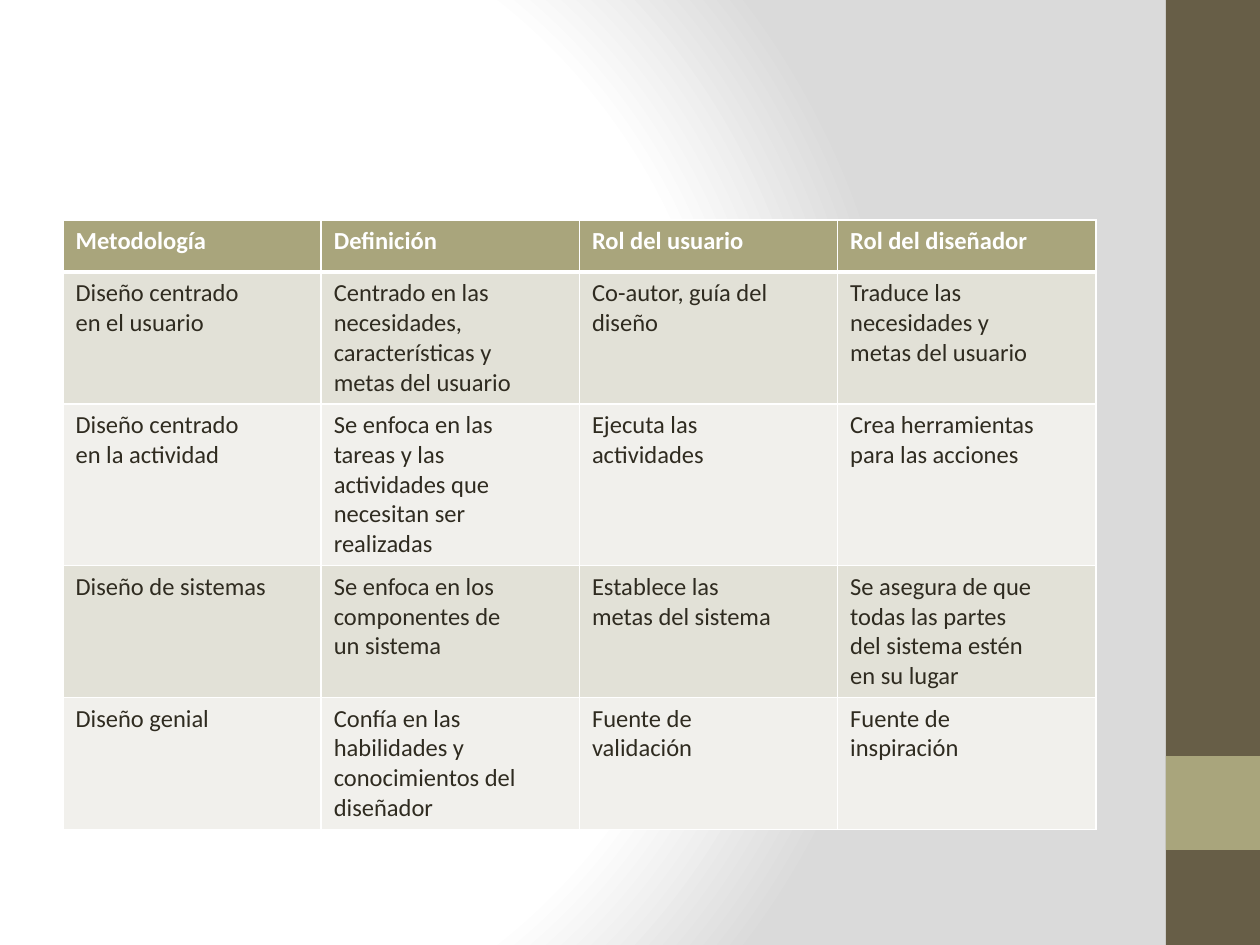
import lxml.etree
import pptx
import pptx.dml.color
import pptx.enum.shapes
import pptx.oxml
import pptx.oxml.ns
import pptx.util

PX = 914400 / 126
COLORS = {
    "white": "FFFFFF", "gray": "DADADA", "bar": "675E47", "accent": "A9A57C",
    "text": "2F2B20", "odd": "E2E1D7", "even": "F1F0EC",
}
HEADER_FONT = {"name": "Calibri", "size": pptx.util.Pt(14), "bold": True}
BODY_FONT = {**HEADER_FONT, "bold": False}
# Each line of a cell is its own paragraph
ROWS = [
    ["Metodología", "Definición", "Rol del usuario", "Rol del diseñador"],
    ["Diseño centrado\nen el usuario",
     "Centrado en las\nnecesidades,\ncaracterísticas y\nmetas del usuario",
     "Co-autor, guía del\ndiseño",
     "Traduce las\nnecesidades y\nmetas del usuario"],
    ["Diseño centrado\nen la actividad",
     "Se enfoca en las\ntareas y las\nactividades que necesitan ser\nrealizadas",
     "Ejecuta las\nactividades",
     "Crea herramientas\npara las acciones"],
    ["Diseño de sistemas",
     "Se enfoca en los\ncomponentes de\nun sistema",
     "Establece las\nmetas del sistema",
     "Se asegura de que\ntodas las partes\ndel sistema estén\nen su lugar"],
    ["Diseño genial",
     "Confía en las\nhabilidades y\nconocimientos del\ndiseñador",
     "Fuente de\nvalidación",
     "Fuente de\ninspiración"],
]


def emu(px):
    return pptx.util.Emu(round(px * PX))


def rgb(name):
    return pptx.dml.color.RGBColor.from_string(COLORS[name])


def paint_background(slide):
    """Radial gradient centred on the left edge."""
    slide.background.fill.solid()
    properties = slide.element.find(".//" + pptx.oxml.ns.qn("p:bgPr"))
    stops = "".join(
        f'<a:gs pos="{position * 1000}"><a:srgbClr val="{COLORS[name]}"/></a:gs>'
        for position, name in [(0, "white"), (75, "white"), (100, "gray")])
    gradient = pptx.oxml.parse_xml(
        f'<a:gradFill {pptx.oxml.ns.nsdecls("a")} rotWithShape="1">'
        f'<a:gsLst>{stops}</a:gsLst><a:path path="circle">'
        '<a:fillToRect l="20000" t="50000" r="100000" b="50000"/>'
        '</a:path></a:gradFill>')
    properties.replace(properties[0], gradient)


def add_side_bar(slide, left, top, width, height):
    """Dark bar with a square accent near its foot."""
    parts = [("bar", 0, height), ("accent", height * 4 // 5, width)]
    for color, offset, part_height in parts:
        shape = slide.shapes.add_shape(
            pptx.enum.shapes.MSO_SHAPE.RECTANGLE,
            emu(left), emu(top + offset), emu(width), emu(part_height))
        shape.shadow.inherit = False
        shape.fill.solid()
        shape.fill.fore_color.rgb = rgb(color)
        shape.line.fill.background()


def set_borders(cell, widths):
    properties = cell._tc.get_or_add_tcPr()
    for index, (side, points) in enumerate(widths.items()):
        line = pptx.oxml.parse_xml(
            f'<a:ln{side} {pptx.oxml.ns.nsdecls("a")} w="{points * 12700}">'
            f'<a:solidFill><a:srgbClr val="{COLORS["white"]}"/></a:solidFill>'
            f'</a:ln{side}>')
        properties.insert(index, line)


def fill_cell(cell, text, fill, color, font_format):
    cell.fill.solid()
    cell.fill.fore_color.rgb = rgb(fill)
    cell.text = text
    for paragraph in cell.text_frame.paragraphs:
        for run in paragraph.runs:
            for name, value in font_format.items():
                setattr(run.font, name, value)
            run.font.color.rgb = rgb(color)


def add_methods_table(slide, left, top, width, height, row_height):
    """Header row and banded body; rows grow with their text."""
    frame = slide.shapes.add_table(
        len(ROWS), len(ROWS[0]), emu(left), emu(top), emu(width),
        emu(row_height * len(ROWS)))
    frame.height = emu(height)
    for row, texts in enumerate(ROWS):
        header = row == 0
        fill = "accent" if header else "odd" if row % 2 else "even"
        color = "white" if header else "text"
        widths = {"L": 1, "R": 1, "T": 3 if row == 1 else 1, "B": 3 if header else 1}
        for column, text in enumerate(texts):
            cell = frame.table.cell(row, column)
            fill_cell(cell, text, fill, color, HEADER_FONT if header else BODY_FONT)
            set_borders(cell, widths)


def main():
    presentation = pptx.Presentation()
    presentation.slide_width = emu(1260)
    presentation.slide_height = emu(945)
    slide = presentation.slides.add_slide(presentation.slide_layouts[6])
    paint_background(slide)
    add_side_bar(slide, 1166, 0, 94, 945)
    add_methods_table(slide, 63, 220, 1033, 601, 52)
    presentation.save("out.pptx")


if __name__ == "__main__":
    main()
